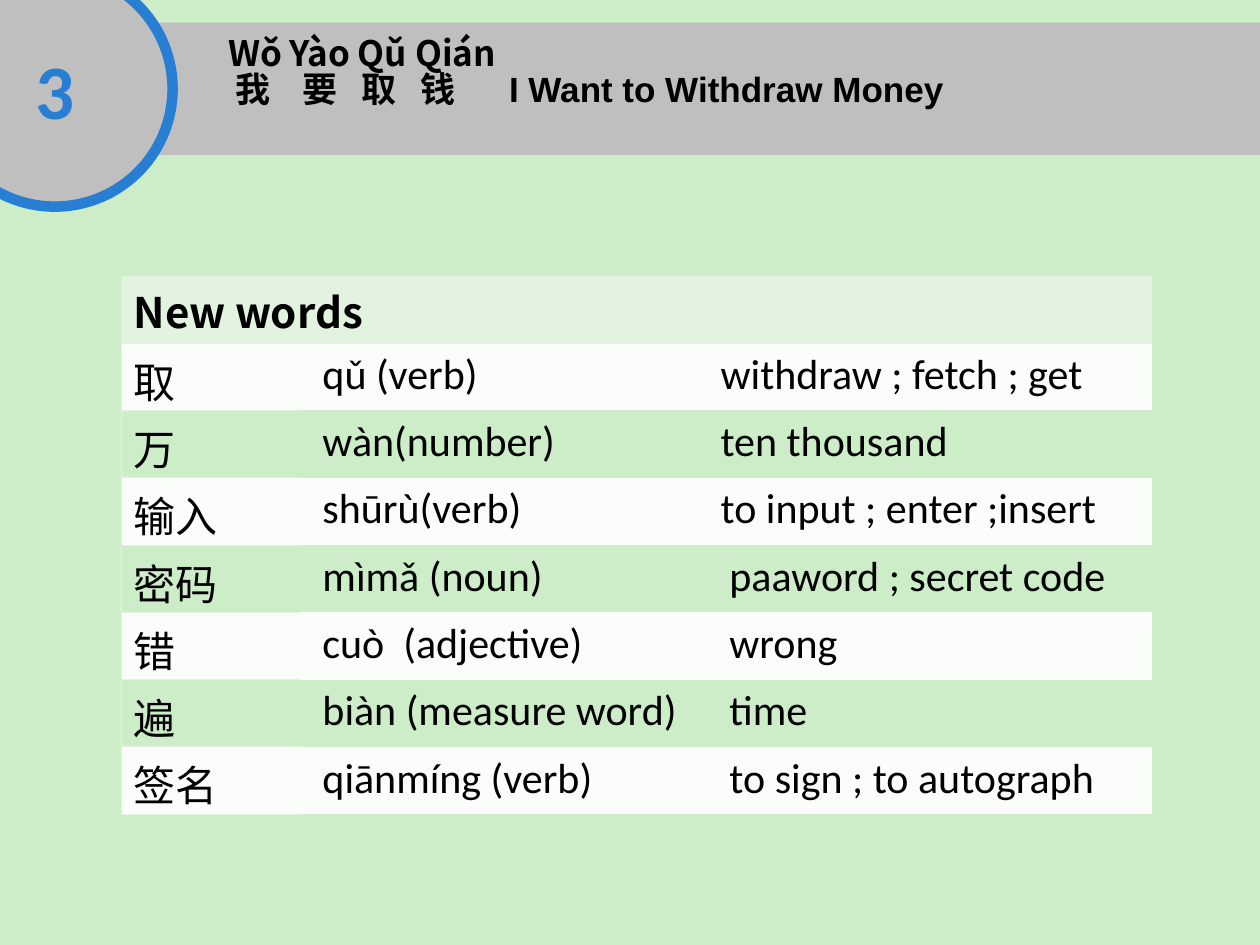
from lxml import etree
from pptx import Presentation
from pptx import util as u
from pptx.dml.color import RGBColor
from pptx.enum import shapes, text
from pptx.oxml import ns

Inches, Pt = u.Inches, u.Pt
GREEN, PALE, NEAR_WHITE = "CCEDC7", "E2F4E0", "FAFDF9"
GREY, BLUE, BLACK = "BFBFBF", "287ED3", "000000"
HEADING_FONT = "Noto Sans CJK SC"
NO_STYLE = "{2D5ABB26-0587-4C30-8999-92F81FD0307C}"

# character, pinyin and word class, meaning, left margin of the meaning
WORDS = [
    ("取", "qǔ (verb)", "withdraw ; fetch ; get", 0.18),
    ("万", "wàn(number)", "ten thousand", 0.18),
    ("输入", "shūrù(verb)", "to input ; enter ;insert", 0.18),
    ("密码", "mìmǎ (noun)", "paaword ; secret code", 0.25),
    ("错", "cuò  (adjective)", "wrong", 0.25),
    ("遍", "biàn (measure word)", "time", 0.25),
    ("签名", "qiānmíng (verb)", "to sign ; to autograph", 0.25),
]


def paint(fill, color):
    fill.solid()
    fill.fore_color.rgb = RGBColor.from_string(color)


def style_font(font, name, size, color=BLACK, bold=False):
    font.name, font.size, font.bold = name, Pt(size), bold
    font.color.rgb = RGBColor.from_string(color)


def add_solid(page, kind, left, top, width, height):
    shape = page.shapes.add_shape(
        kind, Inches(left), Inches(top), Inches(width), Inches(height))
    shape.shadow.inherit = False
    paint(shape.fill, GREY)
    shape.line.fill.background()
    return shape


def add_lesson_band(page, left, top, width, height):
    """Grey band with the lesson number in a circle over its left end."""
    add_solid(page, shapes.MSO_SHAPE.RECTANGLE, left, top, width, height)
    circle = add_solid(page, shapes.MSO_SHAPE.OVAL,
                       left - 1.36, top - 0.41, 1.87, 1.87)
    paint(circle.line.fill, BLUE)
    circle.line.width = Pt(6)
    frame = circle.text_frame
    frame.text = "3"
    frame.vertical_anchor = text.MSO_ANCHOR.MIDDLE
    para = frame.paragraphs[0]
    para.alignment = text.PP_ALIGN.CENTER
    style_font(para.font, "Calibri", 44, BLUE, True)


def add_tab_stops(para, positions):
    stops = etree.SubElement(para._p.get_or_add_pPr(), ns.qn("a:tabLst"))
    for position in positions:
        etree.SubElement(stops, ns.qn("a:tab"),
                         pos=str(Inches(position)), algn="l")


def place_title(page, left, top, width, height):
    title = page.shapes.title
    title.left, title.top = Inches(left), Inches(top)
    title.width, title.height = Inches(width), Inches(height)
    title.element.getparent().append(title.element)  # in front of the band
    frame = title.text_frame
    frame.vertical_anchor = text.MSO_ANCHOR.TOP
    frame.auto_size = text.MSO_AUTO_SIZE.NONE
    pinyin, chinese = frame.paragraphs[0], frame.add_paragraph()
    pinyin.text = "Wǒ Yào Qǔ Qián"
    chinese.add_run().text = "\t我\t要\t取\t钱\t"
    english = chinese.add_run()
    english.text = "I Want to Withdraw Money"
    for para in (pinyin, chinese):
        para.alignment = text.PP_ALIGN.LEFT
        para.line_spacing = 0.86
        style_font(para.font, HEADING_FONT, 20, bold=True)
    english.font.name = "Arial"
    # Tab stops come before the default run properties in the schema.
    add_tab_stops(chinese, (0.06, 0.59, 1.06, 1.53, 2.23))
    properties = chinese._p.get_or_add_pPr()
    properties.append(properties.find(ns.qn("a:defRPr")))


def add_borders(cell, sides):
    properties = cell._tc.get_or_add_tcPr()
    for index, side in enumerate(sides):
        line = etree.Element(ns.qn(f"a:ln{side}"), w=str(Pt(0.45)))
        fill = etree.SubElement(line, ns.qn("a:solidFill"))
        etree.SubElement(fill, ns.qn("a:srgbClr"), val=PALE)
        properties.insert(index, line)


def fill_cell(cell, words, margin, font, color, bold=False):
    cell.text = words
    cell.margin_left = Inches(margin)
    cell.margin_bottom = 0
    paint(cell.fill, color)
    style_font(cell.text_frame.paragraphs[0].font, font, 24, bold=bold)


def add_word_table(page, left, top, widths, row_height):
    rows = len(WORDS) + 1
    table = page.shapes.add_table(
        rows, len(widths), Inches(left), Inches(top),
        Inches(sum(widths)), Inches(row_height * rows)).table
    table.first_row = table.horz_banding = False
    table._tbl.tblPr.find(ns.qn("a:tableStyleId")).text = NO_STYLE
    for column, width in zip(table.columns, widths):
        column.width = Inches(width)
    for row in table.rows:
        row.height = Inches(row_height)

    heading = table.cell(0, 0)
    heading.merge(table.cell(0, 1))
    for cell in table.rows[0].cells:
        fill_cell(cell, "", 0.1, HEADING_FONT, PALE, True)
        add_borders(cell, "LRTB")
    heading.text = "New words"
    para = heading.text_frame.paragraphs[0]
    para.line_spacing = 0.95
    style_font(para.font, HEADING_FONT, 24, bold=True)

    for row, (character, pinyin, meaning, margin) in enumerate(WORDS, 1):
        color = NEAR_WHITE if row % 2 else GREEN
        entries = ((character, 0.1), (pinyin, 0.18), (meaning, margin))
        for column, (words, indent) in enumerate(entries):
            fill_cell(table.cell(row, column), words, indent, "Calibri", color)
        add_borders(table.cell(row, 0), "LTB")


def main():
    deck = Presentation()
    deck.slide_width, deck.slide_height = Inches(10), Inches(7.5)
    page = deck.slides.add_slide(deck.slide_layouts[5])
    paint(page.background.fill, GREEN)
    add_lesson_band(page, 0.86, 0.18, 9.14, 1.05)
    place_title(page, 1.71, 0.25, 8.29, 0.77)
    add_word_table(page, 0.96, 2.19, (1.42, 3.16, 3.6), 0.5)
    deck.save("out.pptx")


if __name__ == "__main__":
    main()
